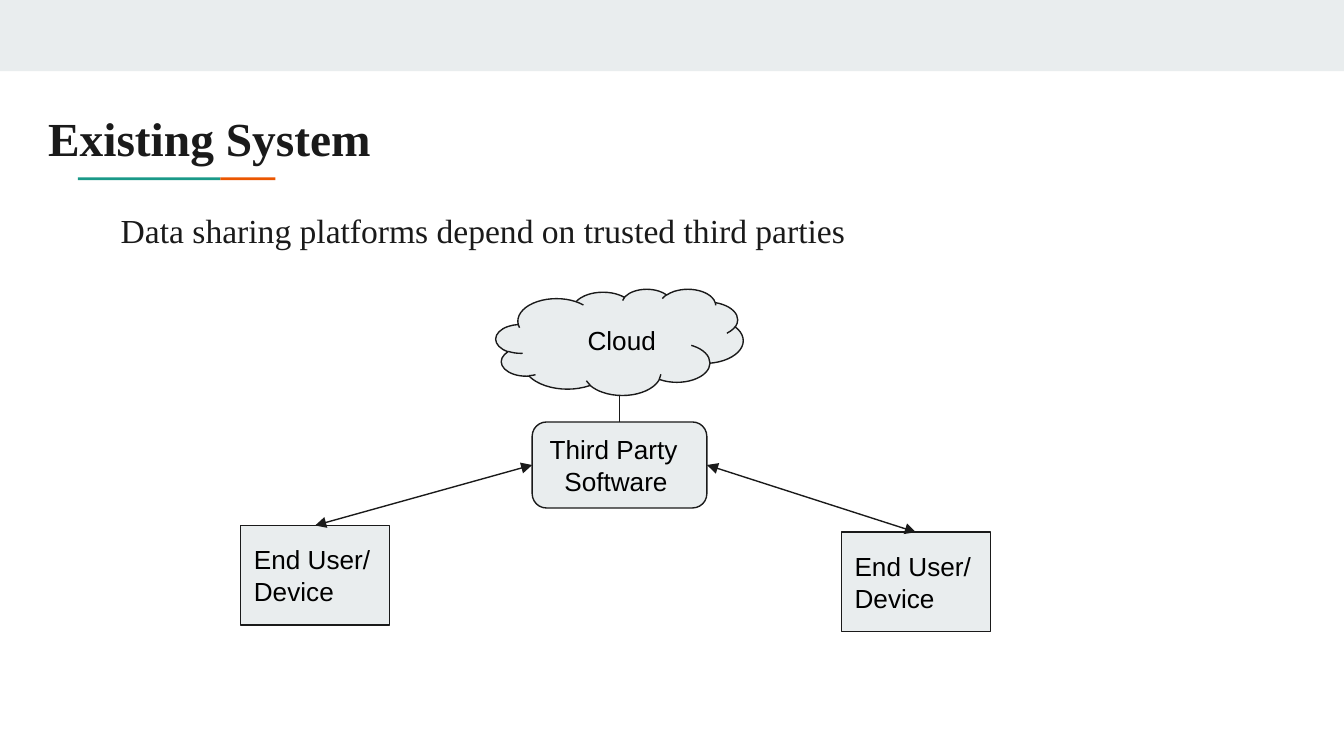
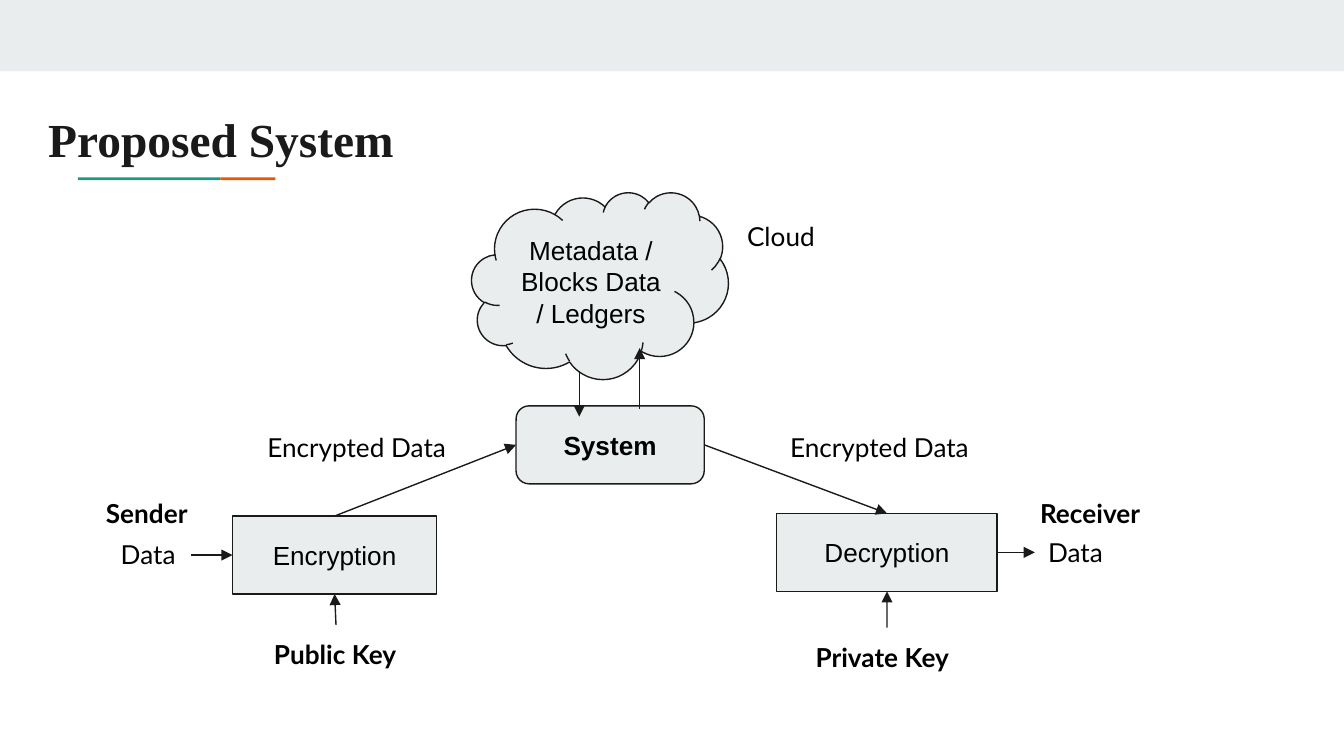
import dataclasses

import lxml.etree
import pptx
import pptx.dml.color
import pptx.enum.shapes
import pptx.enum.text
import pptx.oxml.ns
import pptx.util

Inches = pptx.util.Inches
Kind = pptx.enum.shapes.MSO_SHAPE
Align = pptx.enum.text.PP_ALIGN
Anchor = pptx.enum.text.MSO_ANCHOR
TOP, LEFT, BOTTOM, RIGHT = range(4)


@dataclasses.dataclass(frozen=True)
class Theme:
    pale: str = "E9EDEE"
    ink: str = "1A1A1A"
    black: str = "000000"
    teal: str = "1A9988"
    orange: str = "EB5600"
    serif: str = "Times New Roman"
    sans: str = "Arial"
    label: str = "Lato"
    title: float = 25.4
    body: float = 18
    small: float = 14
    line: float = 0.75
    inset: float = 0.1


THEME = Theme()


def tint(code):
    return pptx.dml.color.RGBColor.from_string(code)


def write(frame, text, font=THEME.sans, size=THEME.small, color=THEME.black,
          bold=False, align=Align.LEFT, anchor=Anchor.TOP, indents=(), spacing=None):
    """Fill a text frame, one paragraph per line; indents are in inches."""
    frame.word_wrap = True
    frame.vertical_anchor = anchor
    frame.margin_left = frame.margin_right = Inches(THEME.inset)
    frame.margin_top = frame.margin_bottom = Inches(THEME.inset)
    for i, line in enumerate(text.split("\n")):
        para = frame.add_paragraph() if i else frame.paragraphs[0]
        para.alignment = align
        if spacing:
            para.line_spacing = spacing
        if i < len(indents):
            props = para._p.get_or_add_pPr()
            props.set("marL", str(Inches(indents[i])))
            props.set("indent", "0")
        run = para.add_run()
        run.text = line
        run.font.name = font
        run.font.size = pptx.util.Pt(size)
        run.font.bold = bold
        run.font.color.rgb = tint(color)


@dataclasses.dataclass
class Pane:
    """A region of a slide; every position is relative to its corner."""
    slide: object
    box: tuple

    def place(self, x, y):
        return Inches(self.box[0] + x), Inches(self.box[1] + y)

    def block(self, kind, x, y, w, h, fill=THEME.pale, edge=None):
        shape = self.slide.shapes.add_shape(
            kind, *self.place(x, y), Inches(w), Inches(h))
        shape.shadow.inherit = False
        shape.fill.solid()
        shape.fill.fore_color.rgb = tint(fill)
        if edge:
            shape.line.color.rgb = tint(edge)
            shape.line.width = pptx.util.Pt(THEME.line)
        else:
            shape.line.fill.background()
        return shape

    def node(self, kind, x, y, w, h, text, **style):
        shape = self.block(kind, x, y, w, h, edge=THEME.ink)
        write(shape.text_frame, text, anchor=Anchor.MIDDLE, **style)
        return shape

    def label(self, x, y, w, h, text, **style):
        field = self.slide.shapes.add_textbox(
            *self.place(x, y), Inches(w), Inches(h))
        write(field.text_frame, text, **style)

    def link(self, start, end, heads=("tailEnd",)):
        """Join two ends, each a point (x, y) or a pair (shape, side)."""
        ends = [(0, 0) if hasattr(e[0], "shape_id") else self.place(*e)
                for e in (start, end)]
        line = self.slide.shapes.add_connector(
            pptx.enum.shapes.MSO_CONNECTOR.STRAIGHT, *ends[0], *ends[1])
        for spot, join in ((start, line.begin_connect), (end, line.end_connect)):
            if hasattr(spot[0], "shape_id"):
                join(*spot)
        line.line.color.rgb = tint(THEME.ink)
        line.line.width = pptx.util.Pt(THEME.line)
        stroke = line.line._get_or_add_ln()
        for head in heads:
            lxml.etree.SubElement(
                stroke, pptx.oxml.ns.qn("a:" + head), type="triangle")
        lxml.etree.SubElement(
            line._element.spPr, pptx.oxml.ns.qn("a:effectLst"))


def header(slide, box, text):
    # Band across the top
    page = Pane(slide, (0, 0))
    page.block(Kind.RECTANGLE, 0, 0, 10, 0.53)
    # Two-colour rule under the title
    page.block(Kind.RECTANGLE, 0.58, 1.32, 1.06, 0.02, THEME.teal)
    page.block(Kind.RECTANGLE, 1.64, 1.32, 0.41, 0.02, THEME.orange)
    # Title
    Pane(slide, box).label(0, 0, *box[2:], text, font=THEME.serif,
                           size=THEME.title, color=THEME.ink, bold=True)


def body(slide, box, text):
    Pane(slide, box).label(0, 0, *box[2:], text, font=THEME.serif,
                           size=THEME.body, color=THEME.ink, spacing=1.05)


def present(slide, box):
    pane = Pane(slide, box)
    # Cloud and the software below it
    pane.node(Kind.CLOUD, 1.9, 0, 1.84, 0.79, "Cloud", indents=(0.33,))
    hub = pane.node(Kind.ROUNDED_RECTANGLE, 2.17, 0.99, 1.3, 0.64,
                    "Third Party\nSoftware", indents=(0, 0.11))
    pane.link((2.82, 0.79), (hub, TOP), heads=())
    # Users on both sides, with traffic both ways
    for x, y, side in ((0, 1.76, LEFT), (4.47, 1.81, RIGHT)):
        user = pane.node(Kind.RECTANGLE, x, y, 1.11, 0.74, "End User/\nDevice")
        pane.link((user, TOP), (hub, side), heads=("headEnd", "tailEnd"))


def future(slide, box):
    pane = Pane(slide, box)
    # Nodes
    mid = {"align": Align.CENTER}
    pane.node(Kind.CLOUD, 2.82, 0, 1.91, 1.39,
              "Metadata / Blocks Data / Ledgers", **mid)
    hub = pane.node(Kind.ROUNDED_RECTANGLE, 3.15, 1.59, 1.4, 0.58,
                    "System", bold=True, **mid)
    lock = pane.node(Kind.RECTANGLE, 1.04, 2.41, 1.52, 0.58, "Encryption", **mid)
    unlock = pane.node(Kind.RECTANGLE, 5.09, 2.39, 1.64, 0.58, "Decryption", **mid)
    # Arrows
    for start, end in (
        ((3.62, 1.33), (3.62, 1.67)),
        ((4.07, 1.61), (4.07, 1.16)),
        ((lock, TOP), (hub, LEFT)),
        ((hub, RIGHT), (unlock, TOP)),
        ((0.73, 2.7), (lock, LEFT)),
        ((1.81, 3.22), (lock, BOTTOM)),
        ((5.91, 3.24), (unlock, BOTTOM)),
        ((unlock, RIGHT), (7.01, 2.68)),
    ):
        pane.link(start, end)
    # Labels
    for x, y, w, text, bold in (
        (4.77, 0.11, 1.25, "Cloud", False),
        (1.2, 1.68, 1.75, "Encrypted Data", False),
        (5.09, 1.68, 3.21, "Encrypted Data", False),
        (0, 2.17, 0.84, "Sender", True),
        (0.11, 2.48, 0.62, "Data", False),
        (6.95, 2.17, 1.48, "Receiver", True),
        (7.01, 2.46, 0.84, "Data", False),
        (1.25, 3.22, 1.13, "Public Key", True),
        (5.28, 3.24, 1.25, "Private Key", True),
    ):
        pane.label(x, y, w, 0.44, text, font=THEME.label, bold=bold)


def main():
    deck = pptx.Presentation()
    # Widescreen, 16 to 9
    deck.slide_width = Inches(10)
    deck.slide_height = Inches(10) * 9 // 16
    blank = deck.slide_layouts[6]

    slide = deck.slides.add_slide(blank)
    header(slide, (0.26, 0.71, 8.94, 0.59), "Existing System")
    body(slide, (0.8, 1.45, 8.41, 3.3),
         "Data sharing platforms depend on trusted third parties")
    present(slide, (1.79, 2.15, 5.58, 2.55))

    slide = deck.slides.add_slide(blank)
    header(slide, (0.26, 0.72, 8.41, 0.59), "Proposed System")
    future(slide, (0.69, 1.43, 8.43, 3.68))

    deck.save("out.pptx")


if __name__ == "__main__":
    main()
